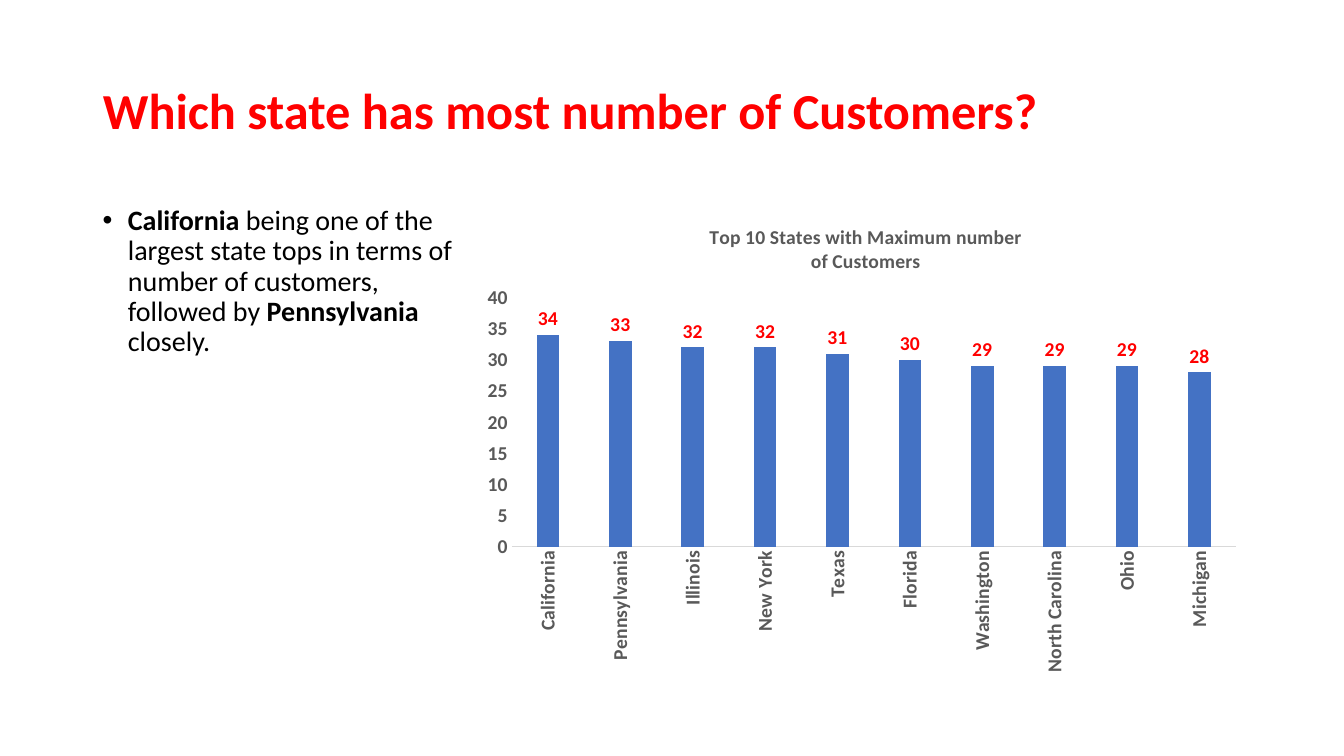
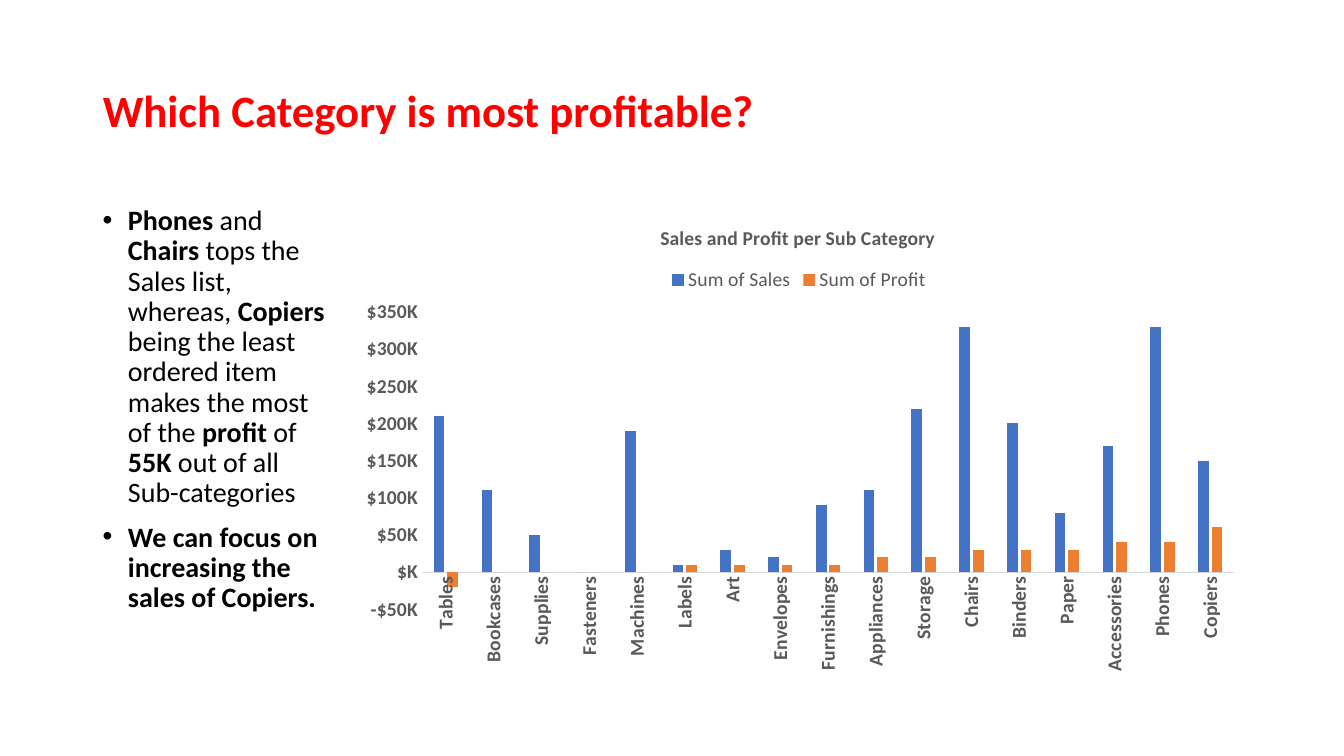
from dataclasses import dataclass

from lxml.etree import SubElement
from pptx import Presentation
from pptx.chart.data import CategoryChartData
from pptx.dml.color import RGBColor
from pptx.enum.chart import XL_CHART_TYPE, XL_LABEL_POSITION, XL_LEGEND_POSITION, XL_TICK_MARK
from pptx.enum.text import MSO_ANCHOR, MSO_AUTO_SIZE, PP_ALIGN
from pptx.oxml import parse_xml
from pptx.oxml.ns import nsdecls, qn
from pptx.util import Inches, Pt


@dataclass(frozen=True)
class Theme:
    """Colours, font and type sizes shared by the slides."""

    font: str = "Calibri"
    accent: RGBColor = RGBColor(0xFF, 0x00, 0x00)
    text: RGBColor = RGBColor(0x00, 0x00, 0x00)
    muted: RGBColor = RGBColor(0x59, 0x59, 0x59)
    axis: RGBColor = RGBColor(0xD9, 0xD9, 0xD9)
    series: tuple = (RGBColor(0x44, 0x72, 0xC4), RGBColor(0xED, 0x7D, 0x31))
    body_size: int = 20
    chart_size: int = 14


THEME = Theme()
TITLE_BOX = (0.92, 0.4, 11.5, 1.45)
CONTENT_TOP, CONTENT_HEIGHT = 2, 4.76

SLIDES = [
    {
        "title": "Which state has most number of Customers?",
        "title_size": 36,
        "bullets": [
            "**California** being one of the largest state tops in terms of number of "
            "customers, followed by **Pennsylvania **closely."
        ],
        "text_width": 3.7,
        "chart_left": 4.69,
        "chart_width": 7.72,
        "chart": {
            "title": "Top 10 States with Maximum number\nof Customers",
            "title_at": (0.3, 0.04),
            "plot_at": (0.05, 0.2, 0.93, 0.52),
            "scale": (0, 40, 5),
            "number_format": "General",
            "labels": True,
            "categories": ["California", "Pennsylvania", "Illinois", "New York", "Texas",
                           "Florida", "Washington", "North Carolina", "Ohio", "Michigan"],
            "series": {"Series 1": [34, 33, 32, 32, 31, 30, 29, 29, 29, 28]},
        },
    },
    {
        "title": "Which Category is most profitable?",
        "title_size": 32,
        "bullets": [
            "**Phones** and **Chairs **tops the Sales list, whereas, **Copiers **being the "
            "least ordered item makes the most of the **profit** of **55K** out of all "
            "Sub-categories",
            "**We can focus on increasing the sales of Copiers.**",
        ],
        "text_width": 2.41,
        "chart_left": 3.47,
        "chart_width": 8.95,
        "chart": {
            "title": "Sales and Profit per Sub Category",
            "title_at": (0.34, 0.04),
            "legend_at": (0.35, 0.13),
            "plot_at": (0.08, 0.23, 0.9, 0.62),
            "scale": (-50000, 350000, 50000),
            "number_format": '"$"#,###,"K"',
            "labels": False,
            "categories": ["Tables", "Bookcases", "Supplies", "Fasteners", "Machines", "Labels",
                           "Art", "Envelopes", "Furnishings", "Appliances", "Storage", "Chairs",
                           "Binders", "Paper", "Accessories", "Phones", "Copiers"],
            "series": {
                "Sum of Sales": [210000, 110000, 50000, 0, 190000, 10000, 30000, 20000, 90000,
                                 110000, 220000, 330000, 200000, 80000, 170000, 330000, 150000],
                "Sum of Profit": [-20000, 0, 0, 0, 0, 10000, 10000, 10000, 10000, 20000, 20000,
                                  30000, 30000, 30000, 40000, 40000, 60000],
            },
        },
    },
]


def style_font(font, size, color, bold=None):
    """Apply the theme font with the given size, colour and weight."""
    font.name = THEME.font
    font.size = Pt(size)
    font.color.rgb = color
    if bold is not None:
        font.bold = bold


def add_title(page, text, size, box):
    """Place and format the title placeholder."""
    title = page.shapes.title
    title.left, title.top, title.width, title.height = map(Inches, box)
    frame = title.text_frame
    frame.text = text
    frame.auto_size = MSO_AUTO_SIZE.NONE
    frame.vertical_anchor = MSO_ANCHOR.MIDDLE
    para = frame.paragraphs[0]
    para.alignment = PP_ALIGN.LEFT
    para.line_spacing = 0.9
    style_font(para.font, size, THEME.accent, True)


def add_bullets(page, bullets, box):
    """Write bulleted paragraphs in which double asterisks enclose bold text."""
    frame = page.shapes.add_textbox(*map(Inches, box)).text_frame
    frame.word_wrap = True
    for index, text in enumerate(bullets):
        para = frame.add_paragraph() if index else frame.paragraphs[0]
        properties = para._p.get_or_add_pPr()
        properties.set("marL", str(Inches(0.25)))
        properties.set("indent", str(-Inches(0.25)))
        SubElement(properties, qn("a:buFont")).set("typeface", "Arial")
        SubElement(properties, qn("a:buChar")).set("char", "•")
        para.line_spacing = 0.9
        if index:
            para.space_before = Pt(10)
        style_font(para.font, THEME.body_size, THEME.text)
        for position, part in enumerate(text.split("**")):
            if part:
                span = para.add_run()
                span.text = part
                span.font.bold = position % 2 == 1


def set_layout(element, fractions, inner=False):
    """Position a chart part by fractions of the chart area."""
    for old in element.findall(qn("c:layout")):
        element.remove(old)
    target = '<c:layoutTarget val="inner"/>' if inner else ""
    names = ("x", "y", "w", "h")[:len(fractions)]
    modes = '<c:xMode val="edge"/><c:yMode val="edge"/>'
    values = "".join(f'<c:{name} val="{value}"/>' for name, value in zip(names, fractions))
    layout = parse_xml(
        f'<c:layout {nsdecls("c")}><c:manualLayout>{target}{modes}{values}'
        "</c:manualLayout></c:layout>"
    )
    overlay = element.find(qn("c:overlay"))
    if overlay is None:
        element.insert(0, layout)
    else:
        overlay.addprevious(layout)


def format_axes(chart, scale, number_format):
    """Style both axes and set the value scale."""
    for axis in (chart.category_axis, chart.value_axis):
        axis.major_tick_mark = axis.minor_tick_mark = XL_TICK_MARK.NONE
        axis.has_major_gridlines = False
        style_font(axis.tick_labels.font, THEME.chart_size, THEME.muted, True)
    category_axis, value_axis = chart.category_axis, chart.value_axis
    category_axis.format.line.color.rgb = THEME.axis
    category_axis.format.line.width = Pt(0.75)
    category_axis._element.find(qn("c:txPr")).find(qn("a:bodyPr")).set("rot", "-5400000")
    value_axis.format.line.fill.background()
    value_axis.minimum_scale, value_axis.maximum_scale, value_axis.major_unit = scale
    value_axis.tick_labels.number_format = number_format
    value_axis.tick_labels.number_format_is_linked = False


def format_columns(plot, labels):
    """Set column spacing, colours and optional value labels."""
    plot.gap_width, plot.overlap = 219, -27
    plot.vary_by_categories = False
    for series, color in zip(plot.series, THEME.series):
        series.format.fill.solid()
        series.format.fill.fore_color.rgb = color
        series.invert_if_negative = False
    if labels:
        plot.has_data_labels = True
        plot.data_labels.show_value = True
        plot.data_labels.position = XL_LABEL_POSITION.OUTSIDE_END
        style_font(plot.data_labels.font, THEME.chart_size, THEME.accent, True)


def add_column_chart(page, content, box):
    """Add a titled column chart inside the given box."""
    data = CategoryChartData()
    data.categories = content["categories"]
    for name, values in content["series"].items():
        data.add_series(name, values)
    chart = page.shapes.add_chart(
        XL_CHART_TYPE.COLUMN_CLUSTERED, *map(Inches, box), data
    ).chart
    style_font(chart.font, 10, THEME.text)
    chart.has_title = True
    frame = chart.chart_title.text_frame
    frame.text = content["title"]
    for para in frame.paragraphs:
        style_font(para.font, THEME.chart_size, THEME.muted, True)
    set_layout(chart.chart_title._element, content["title_at"])
    chart.has_legend = "legend_at" in content
    if chart.has_legend:
        chart.legend.position = XL_LEGEND_POSITION.TOP
        chart.legend.include_in_layout = False
        style_font(chart.legend.font, THEME.chart_size, THEME.muted)
        set_layout(chart.legend._element, content["legend_at"])
    format_axes(chart, content["scale"], content["number_format"])
    format_columns(chart.plots[0], content["labels"])
    set_layout(chart._chartSpace.chart.plotArea, content["plot_at"], inner=True)


def add_chart_slide(deck, content):
    """Build a slide with a title, bullets on the left and a chart on the right."""
    page = deck.slides.add_slide(deck.slide_layouts[5])
    add_title(page, content["title"], content["title_size"], TITLE_BOX)
    text_box = (TITLE_BOX[0], CONTENT_TOP, content["text_width"], CONTENT_HEIGHT)
    add_bullets(page, content["bullets"], text_box)
    chart_box = (content["chart_left"], CONTENT_TOP, content["chart_width"], CONTENT_HEIGHT)
    add_column_chart(page, content["chart"], chart_box)


def main():
    """Build and save the deck."""
    deck = Presentation()
    deck.slide_width, deck.slide_height = Inches(13.33), Inches(7.5)
    for content in SLIDES:
        add_chart_slide(deck, content)
    deck.save("out.pptx")


if __name__ == "__main__":
    main()
